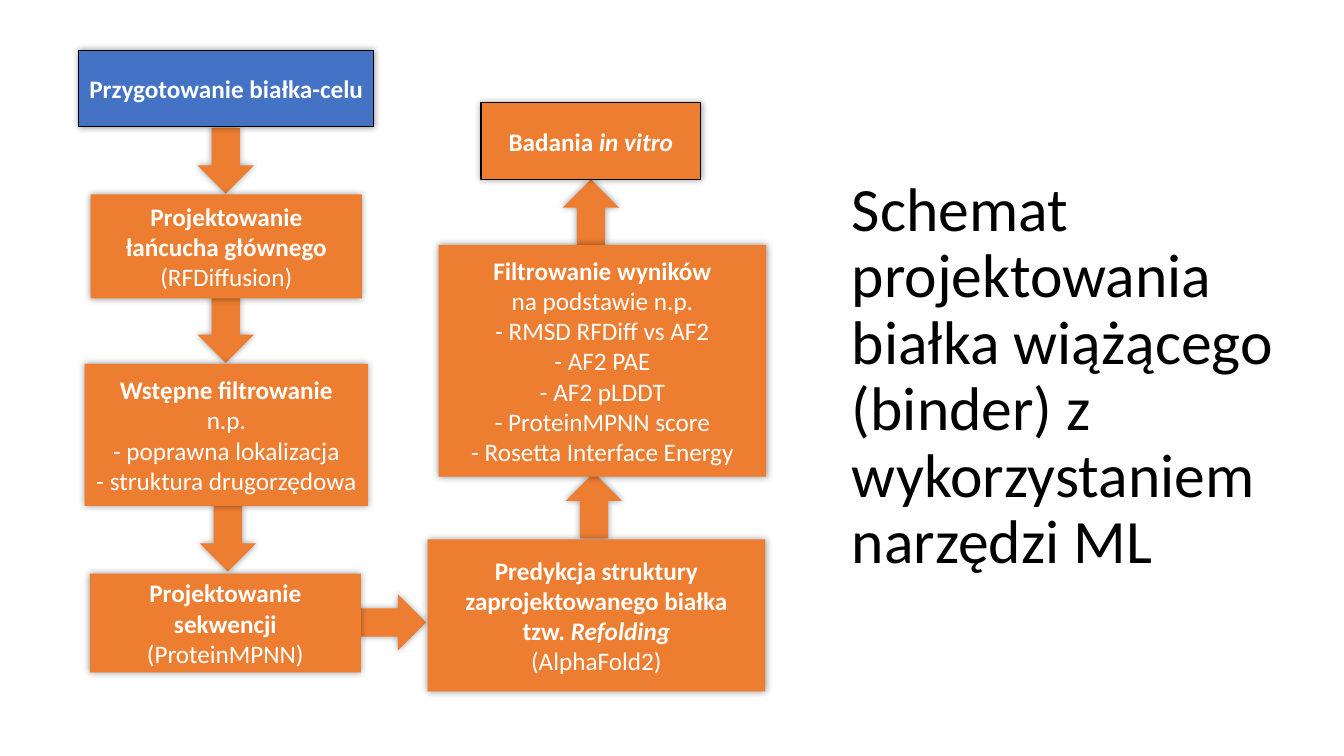
from lxml import etree
from pptx import Presentation
from pptx.dml.color import RGBColor
from pptx.enum.shapes import MSO_SHAPE as Shape
from pptx.enum.text import MSO_ANCHOR as Anchor, PP_ALIGN as Align
from pptx.oxml.ns import qn
from pptx.util import Inches, Pt

ORANGE, BLUE, BLACK, WHITE = "ED7D31", "4472C4", "000000", "FFFFFF"
ARROW_WIDTH, ARROW_HEIGHT = 0.56, 0.65

# Left, top, rotation
ARROWS = [
    (3.62, 5.85, 270),
    (1.96, 1.27, 0),
    (1.96, 2.95, 0),
    (1.98, 5.02, 0),
    (5.61, 4.69, 180),
    (5.58, 1.78, 180),
]

# Box (left, top, width, height), bold lines, plain lines
STEPS = [
    ((0.9, 1.93, 2.69, 1.03), ["Projektowanie", "łańcucha głównego"], ["(RFDiffusion)"]),
    ((0.84, 3.61, 2.81, 1.41), ["Wstępne filtrowanie"],
     ["n.p.", "- poprawna lokalizacja", "- struktura drugorzędowa"]),
    ((0.89, 5.69, 2.69, 0.98), ["Projektowanie sekwencji"], ["(ProteinMPNN)"]),
    ((4.24, 5.35, 3.35, 1.51),
     ["Predykcja struktury zaprojektowanego białka", ("tzw. ", "Refolding")], ["(AlphaFold2)"]),
    ((4.35, 2.43, 3.25, 2.3), ["Filtrowanie wyników"],
     ["na podstawie n.p.", "- RMSD RFDiff vs AF2", "- AF2 PAE", "- AF2 pLDDT",
      "- ProteinMPNN score", "- Rosetta Interface Energy"]),
]


def color(value):
    return RGBColor.from_string(value)


def add_run(paragraph, text, size=18, fill=WHITE, bold=None, italic=None):
    run = paragraph.add_run()
    run.text = text
    font = run.font
    font.name, font.size = "Calibri", Pt(size)
    font.bold, font.italic = bold, italic
    font.color.rgb = color(fill)


def add_glow_shadow(shape):
    """Give the shape a soft shadow spread evenly around it."""
    shape.shadow.inherit = False
    effects = shape.element.spPr.find(qn("a:effectLst"))
    shadow = etree.SubElement(effects, qn("a:outerShdw"), blurRad=str(Pt(5)),
                              dist="0", dir="0", algn="ctr", rotWithShape="0")
    shade = etree.SubElement(shadow, qn("a:srgbClr"), val=BLACK)
    etree.SubElement(shade, qn("a:alpha"), val="40000")


def add_filled_shape(slide, kind, box, fill=ORANGE, line_width=None):
    shape = slide.shapes.add_shape(kind, *map(Inches, box))
    shape.fill.solid()
    shape.fill.fore_color.rgb = color(fill)
    if line_width:
        shape.line.color.rgb = color(BLACK)
        shape.line.width = Pt(line_width)
    else:
        shape.line.fill.background()
    add_glow_shadow(shape)
    return shape


def add_arrow(slide, left, top, rotation):
    arrow = add_filled_shape(slide, Shape.DOWN_ARROW, (left, top, ARROW_WIDTH, ARROW_HEIGHT))
    arrow.rotation = rotation


def add_step(slide, box, bold_lines, plain_lines=(), **look):
    """Add a box; a line given as a pair has an italic second part."""
    frame = add_filled_shape(slide, Shape.RECTANGLE, box, **look).text_frame
    frame.word_wrap = True
    frame.vertical_anchor = Anchor.MIDDLE
    for index, line in enumerate([*bold_lines, *plain_lines]):
        paragraph = frame.add_paragraph() if index else frame.paragraphs[0]
        paragraph.alignment = Align.CENTER
        parts = (line,) if isinstance(line, str) else line
        for position, text in enumerate(parts):
            add_run(paragraph, text, bold=index < len(bold_lines), italic=position == 1)


def set_title(slide, text):
    title = slide.shapes.title
    title.left, title.top, title.width, title.height = map(Inches, (8.35, 1.43, 4.41, 4.63))
    frame = title.text_frame
    frame.word_wrap = True
    frame.vertical_anchor = Anchor.MIDDLE
    paragraph = frame.paragraphs[0]
    paragraph.alignment = Align.LEFT
    paragraph.line_spacing = 0.9
    add_run(paragraph, text, size=44, fill=BLACK)


def main():
    presentation = Presentation()
    presentation.slide_width = Inches(13.33)
    presentation.slide_height = Inches(7.5)
    slide = presentation.slides.add_slide(presentation.slide_layouts[5])
    set_title(slide, "Schemat projektowania białka wiążącego (binder) z wykorzystaniem narzędzi ML")
    for arrow in ARROWS:
        add_arrow(slide, *arrow)
    add_step(slide, (0.78, 0.5, 2.93, 0.76), ["Przygotowanie białka-celu"],
             fill=BLUE, line_width=0.75)
    for step in STEPS:
        add_step(slide, *step)
    add_step(slide, (4.77, 1.02, 2.18, 0.76), [("Badania ", "in vitro")], line_width=1)
    presentation.save("out.pptx")


if __name__ == "__main__":
    main()
